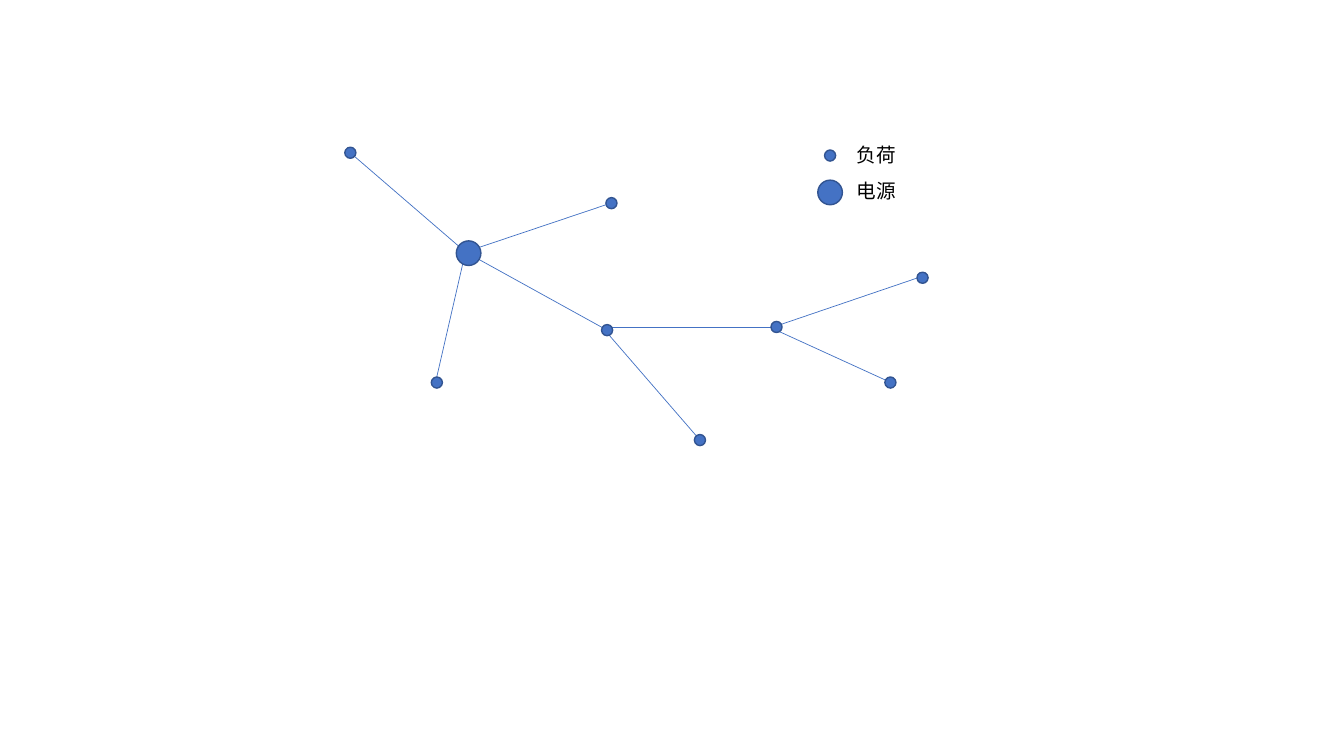
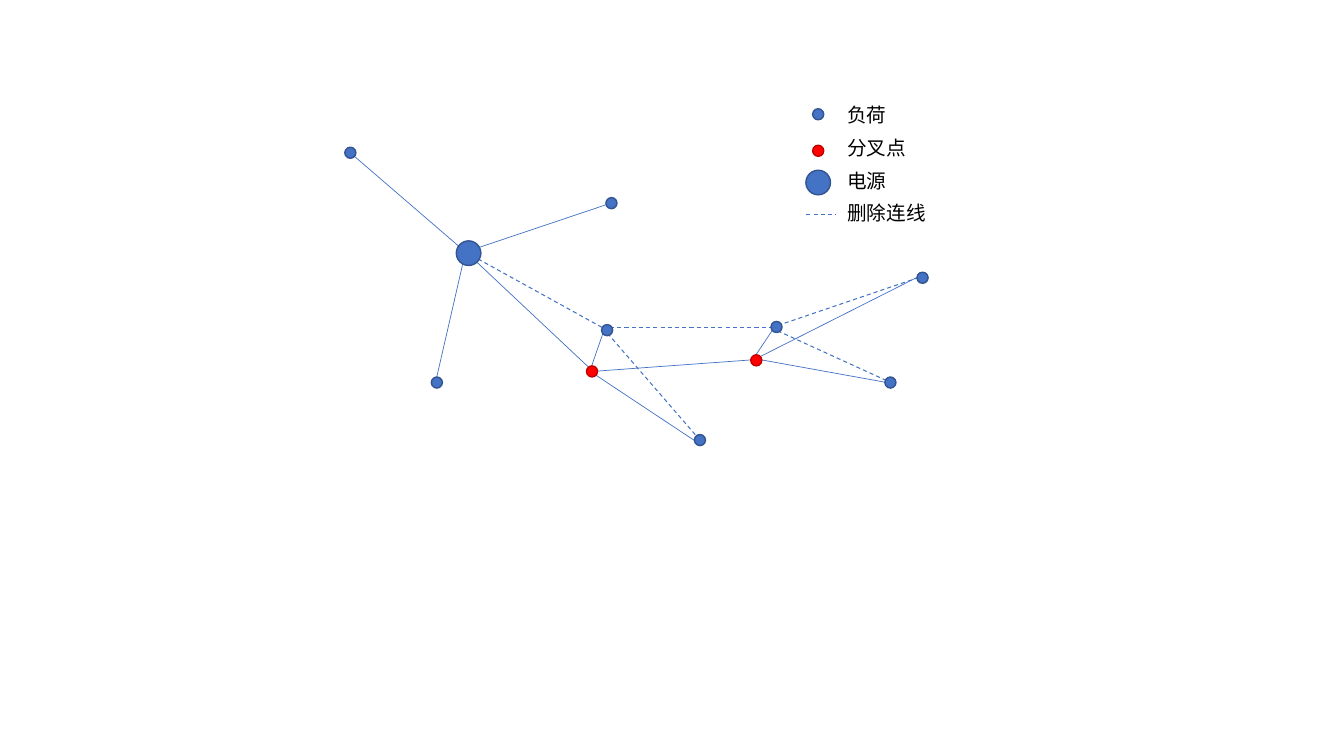
from dataclasses import dataclass
from lxml.etree import SubElement as Sub
from pptx import Presentation
from pptx.dml.color import RGBColor as Rgb
from pptx.enum.dml import MSO_LINE_DASH_STYLE as Dash
from pptx.enum.shapes import MSO_CONNECTOR as Link, MSO_SHAPE as Shape
from pptx.oxml.ns import qn
from pptx.util import Cm, Pt


@dataclass(frozen=True)
class Theme:
    blue: str = "4472C4"
    navy: str = "325491"
    red: str = "FF0000"
    wine: str = "C00000"
    black: str = "000000"
    font: str = "Noto Sans CJK SC"
    size: float = 14
    thin: float = 0.5
    dash: float = 0.75
    rim: float = 1


T = Theme()

# Dot kinds: diameter in cm, fill, rim
KINDS = {
    "load": (0.28, T.blue, T.navy),
    "fork": (0.28, T.red, T.wine),
    "power": (0.62, T.blue, T.navy),
}

# Network nodes: kind, centre, point where links meet (cm)
NODES = {
    "west": ("load", (8.83, 3.85), (8.84, 3.86)),
    "south": ("load", (11.01, 9.64), (11, 9.53)),
    "north": ("load", (15.41, 5.12), (15.42, 5.11)),
    "mid": ("load", (15.3, 8.32), (15.19, 8.26)),
    "low": ("load", (17.64, 11.09), (17.65, 11.1)),
    "hub": ("load", (19.57, 8.24), (19.43, 8.26)),
    "top": ("load", (23.25, 7), (23.16, 6.99)),
    "end": ("load", (22.44, 9.64), (22.43, 9.63)),
    "power": ("power", (11.81, 6.38), (11.73, 6.35)),
}
KEPT = [("west", "power"), ("power", "south"), ("power", "north")]
CUT = [("power", "mid"), ("mid", "hub"), ("mid", "low"),
       ("hub", "top"), ("hub", "end")]

# Fork points and the links drawn to their rims (cm)
FORKS = [(14.92, 9.36), (19.06, 9.08)]
ADDED = [
    ((14.83, 9.25), (12.01, 6.6)),
    ((14.91, 9.22), (15.19, 8.41)),
    ((15.01, 9.45), (17.5, 11.1)),
    ((15.06, 9.35), (18.92, 9.07)),
    ((19.2, 9.07), (22.3, 9.63)),
    ((19.46, 8.33), (19.05, 8.94)),
    ((19.15, 8.99), (23.11, 6.99)),
]

# Slides: legend rows are label, mark, height of mark's centre (cm)
SLIDES = [
    {"cut": False, "forks": [], "added": [],
     "mark": 20.92, "text": (21.34, 3.48), "step": 0.91,
     "rows": [("负荷", "load", 3.92), ("电源", "power", 4.85)]},
    {"cut": True, "forks": FORKS, "added": ADDED,
     "mark": 20.62, "text": (21.1, 2.46), "step": 0.83,
     "rows": [("负荷", "load", 2.88), ("分叉点", "fork", 3.8),
              ("电源", "power", 4.6), ("删除连线", "cut", 5.41)]},
]


def dot(slide, kind, x, y):
    size, fill, rim = KINDS[kind]
    oval = slide.shapes.add_shape(
        Shape.OVAL, Cm(x - size / 2), Cm(y - size / 2), Cm(size), Cm(size))
    oval.shadow.inherit = False
    oval.fill.solid()
    oval.fill.fore_color.rgb = Rgb.from_string(fill)
    oval.line.color.rgb = Rgb.from_string(rim)
    oval.line.width = Pt(T.rim)


def line(slide, start, end, cut=False):
    wire = slide.shapes.add_connector(
        Link.STRAIGHT, *[Cm(v) for v in (*start, *end)])
    wire.line.color.rgb = Rgb.from_string(T.blue)
    wire.line.width = Pt(T.dash if cut else T.thin)
    if cut:
        wire.line.dash_style = Dash.DASH
    Sub(wire._element.spPr, qn("a:effectLst"))


def label(slide, text, x, y):
    box = slide.shapes.add_textbox(
        Cm(x), Cm(y), Cm(0.6 + 0.5 * len(text)), Cm(0.86))
    box.text_frame.word_wrap = True
    run = box.text_frame.paragraphs[0].add_run()
    run.text = text
    run.font.size = Pt(T.size)
    run.font.color.rgb = Rgb.from_string(T.black)
    run.font.name = T.font
    Sub(run._r.get_or_add_rPr(), qn("a:ea")).set("typeface", T.font)


def legend(slide, page):
    x, (left, top) = page["mark"], page["text"]
    for i, (text, mark, y) in enumerate(page["rows"]):
        if mark == "cut":
            line(slide, (x - 0.3, y), (x + 0.44, y), True)
        else:
            dot(slide, mark, x, y)
        label(slide, text, left, top + i * page["step"])


def network(slide, page):
    # Links lie beneath the dots
    for pairs, cut in ((KEPT, False), (CUT, page["cut"])):
        for a, b in pairs:
            line(slide, NODES[a][2], NODES[b][2], cut)
    for start, end in page["added"]:
        line(slide, start, end)
    for kind, spot, _ in NODES.values():
        dot(slide, kind, *spot)
    for spot in page["forks"]:
        dot(slide, "fork", *spot)


def main():
    deck = Presentation()
    deck.slide_width, deck.slide_height = Cm(33.87), Cm(19.05)
    blank = deck.slide_layouts[6]
    for page in SLIDES:
        slide = deck.slides.add_slide(blank)
        network(slide, page)
        legend(slide, page)
    deck.save("out.pptx")


if __name__ == "__main__":
    main()
